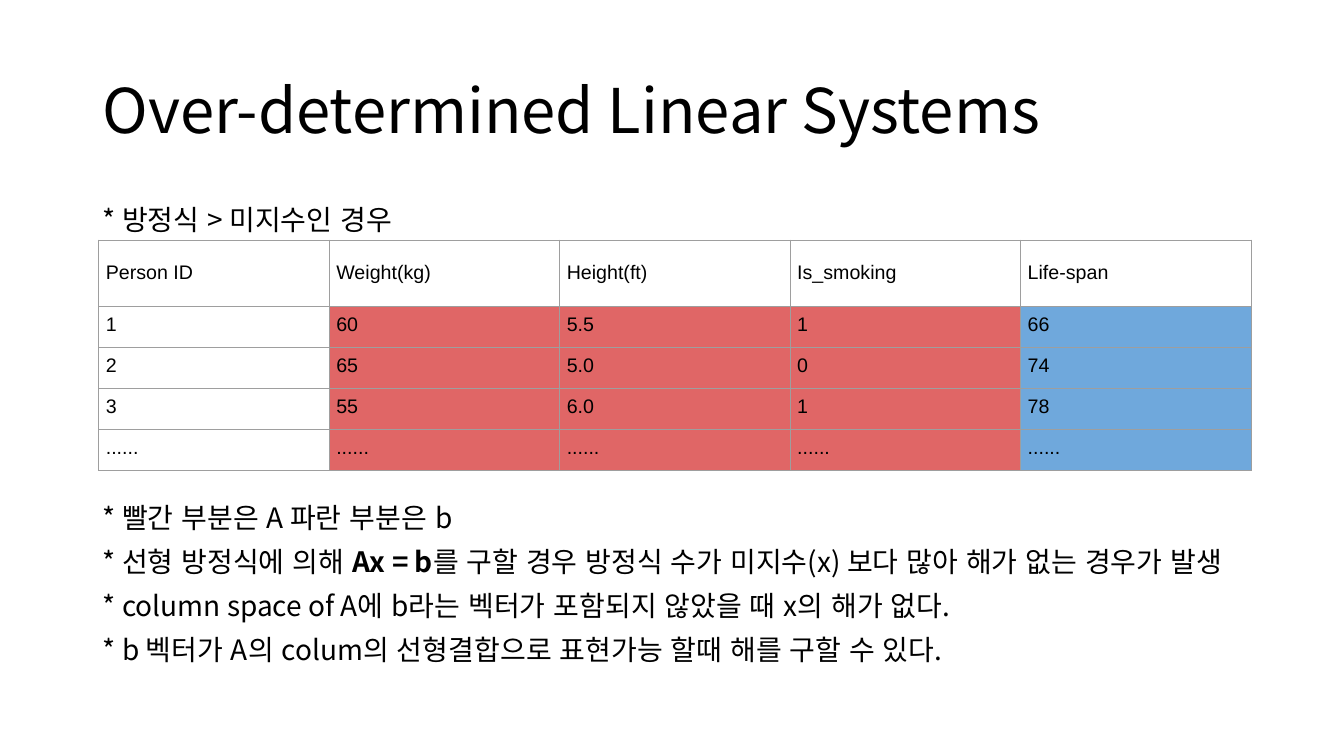
from lxml.etree import SubElement
from pptx import Presentation
from pptx.dml.color import RGBColor
from pptx.enum.lang import MSO_LANGUAGE_ID as Lang
from pptx.enum.text import MSO_ANCHOR as Anchor
from pptx.oxml.ns import qn
from pptx.util import Inches, Pt

BLACK = RGBColor(0, 0, 0)
RED = RGBColor(0xE0, 0x66, 0x66)
BLUE = RGBColor(0x6F, 0xA8, 0xDC)
GREY = RGBColor(0x9E, 0x9E, 0x9E)
SANS = "Noto Sans CJK KR"

TITLE = "Over-determined Linear Systems"
INTRO = [["* 방정식 > 미지수인 경우"]]
NOTES = [
    ["* 빨간 부분은 A 파란 부분은 b"],
    ["* 선형 방정식에 의해 ", "Ax = b",
     "를 구할 경우 방정식 수가 미지수(x) 보다 많아 해가 없는 경우가 발생"],
    ["* column space of A에 b라는 벡터가 포함되지 않았을 때 x의 해가 없다."],
    ["* b 벡터가 A의 colum의 선형결합으로 표현가능 할때 해를 구할 수 있다."],
]
HEAD = ["Person ID", "Weight(kg)", "Height(ft)", "Is_smoking", "Life-span"]
ROWS = [
    ["1", "60", "5.5", "1", "66"],
    ["2", "65", "5.0", "0", "74"],
    ["3", "55", "6.0", "1", "78"],
    ["......"] * 5,
]
FILLS = [None, RED, RED, RED, BLUE]


def put_run(para, text, size=20, font=SANS, bold=False):
    """Add a run of formatted text to a paragraph."""
    run = para.add_run()
    run.text = text
    run.font.size = Pt(size)
    run.font.name = font
    run.font.bold = bold
    run.font.color.rgb = BLACK
    run.font.language_id = Lang.KOREAN
    props = run.font._element
    props.set("kern", "1200")
    SubElement(props, qn("a:ea"), typeface=font)


def add_text(slide, box, paras, size=20, anchor=Anchor.TOP, gap=10):
    """Place a text box; every second run of a paragraph is bold."""
    frame = slide.shapes.add_textbox(*map(Inches, box)).text_frame
    frame.word_wrap = True
    frame.vertical_anchor = anchor
    for i, parts in enumerate(paras):
        para = frame.paragraphs[0] if i == 0 else frame.add_paragraph()
        para.line_spacing = 0.9
        para.space_before = Pt(gap)
        for j, part in enumerate(parts):
            put_run(para, part, size=size, bold=j % 2 == 1)


def set_edge(cell):
    """Draw a thin grey line on all four sides of a cell."""
    props = cell._tc.get_or_add_tcPr()
    for side in ("lnL", "lnR", "lnT", "lnB"):
        line = SubElement(props, qn("a:" + side), w=str(Pt(0.5)))
        fill = SubElement(line, qn("a:solidFill"))
        SubElement(fill, qn("a:srgbClr"), val=str(GREY))


def set_cell(cell, text, fill, anchor):
    """Fill one table cell with text, edges and colour."""
    cell.margin_left = cell.margin_right = Inches(0.07)
    cell.margin_top = cell.margin_bottom = Inches(0.07)
    cell.vertical_anchor = anchor
    put_run(cell.text_frame.paragraphs[0], text, size=14, font="Arial")
    set_edge(cell)
    if fill:
        cell.fill.solid()
        cell.fill.fore_color.rgb = fill
    else:
        cell.fill.background()


def add_grid(slide, box, head=0.66):
    """Place the table of persons, with a taller head row."""
    data = [HEAD] + ROWS
    table = slide.shapes.add_table(
        len(data), len(HEAD), *map(Inches, box)).table
    table.first_row = table.horz_banding = False
    for col in table.columns:
        col.width = Inches(box[2] / len(HEAD))
    for r, row in enumerate(data):
        high = (box[3] - head) / len(ROWS) if r else head
        table.rows[r].height = Inches(high)
        for c, text in enumerate(row):
            set_cell(table.cell(r, c), text, FILLS[c] if r else None,
                     Anchor.TOP if r else Anchor.MIDDLE)


def add_body(slide, box):
    """Place the intro line, the table and the notes below it."""
    left, top, width, high = box
    add_text(slide, (left, top, width, 0.4), INTRO)
    add_grid(slide, (left + 0.06, top + 0.38, width - 0.07, 2.29))
    add_text(slide, (left, top + 2.95, width - 0.2, high - 2.95), NOTES)


def main():
    """Build the slide and save it."""
    deck = Presentation()
    deck.slide_width, deck.slide_height = Inches(13.33), Inches(7.5)
    slide = deck.slides.add_slide(deck.slide_layouts[6])
    add_text(slide, (0.92, 0.4, 11.5, 1.45), [[TITLE]], size=44,
             anchor=Anchor.MIDDLE, gap=0)
    add_body(slide, (0.92, 2, 11.5, 4.76))
    deck.save("out.pptx")


if __name__ == "__main__":
    main()
